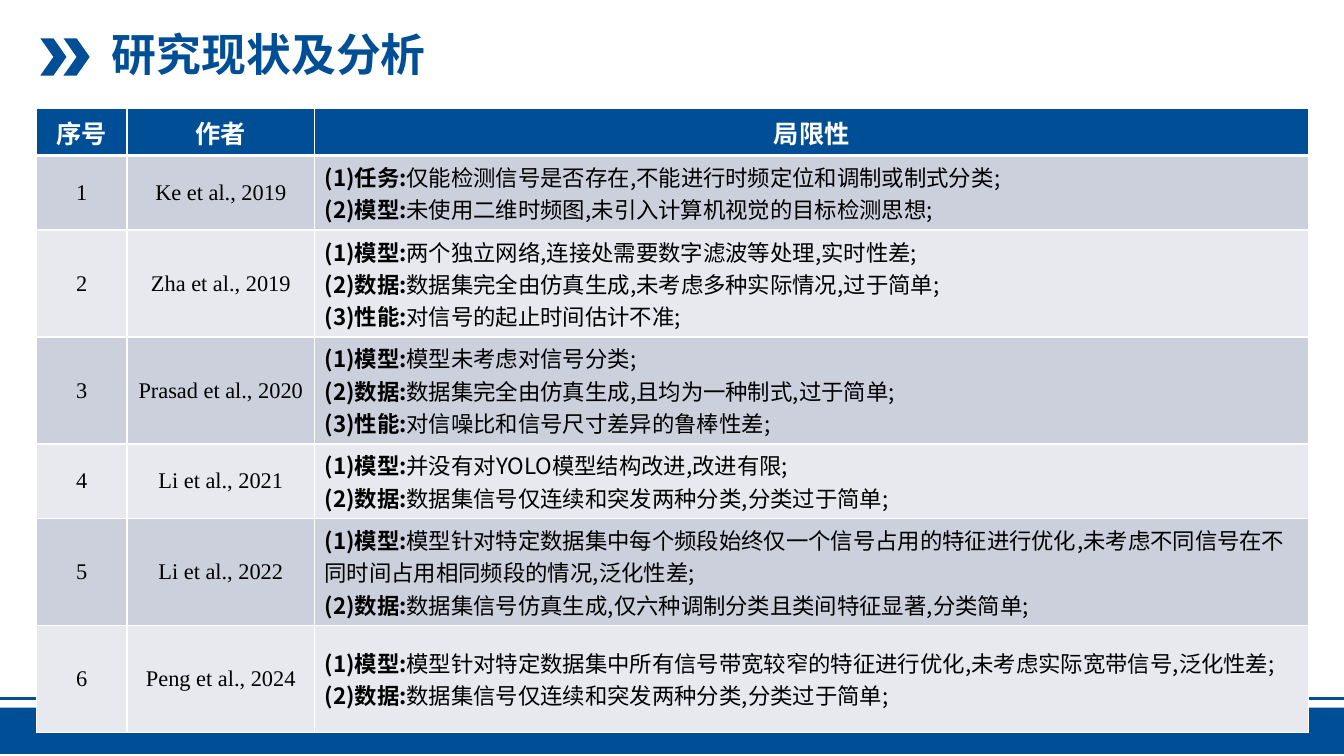
from dataclasses import dataclass

from lxml import etree
from pptx import Presentation
from pptx.dml.color import RGBColor
from pptx.enum.shapes import MSO_CONNECTOR, MSO_SHAPE
from pptx.enum.text import MSO_ANCHOR, PP_ALIGN
from pptx.oxml.ns import qn
from pptx.util import Inches, Pt


@dataclass(frozen=True)
class Theme:
    navy: str = "004E95"
    white: str = "FFFFFF"
    black: str = "000000"
    bands: tuple = ("CCD0DD", "E7E9EF")
    cjk: str = "Noto Sans CJK SC"
    latin: str = "Times New Roman"
    title: int = 32
    header: int = 18
    body: int = 16


THEME = Theme()
SLIDE_WIDTH, SLIDE_HEIGHT = 13.33, 7.5
HEADINGS = ("序号", "作者", "局限性")
COLUMN_WIDTHS = (0.9, 1.86, 9.86)
HEADER_HEIGHT = 0.46
LINE_HEIGHT, ROW_PADDING = 0.32, 0.1

# Author, lines of text in the row, limitations as (aspect, finding)
STUDIES = [
    ("Ke et al., 2019", 2, [
        ("任务", "仅能检测信号是否存在,不能进行时频定位和调制或制式分类;"),
        ("模型", "未使用二维时频图,未引入计算机视觉的目标检测思想;")]),
    ("Zha et al., 2019", 3, [
        ("模型", "两个独立网络,连接处需要数字滤波等处理,实时性差;"),
        ("数据", "数据集完全由仿真生成,未考虑多种实际情况,过于简单;"),
        ("性能", "对信号的起止时间估计不准;")]),
    ("Prasad et al., 2020", 3, [
        ("模型", "模型未考虑对信号分类;"),
        ("数据", "数据集完全由仿真生成,且均为一种制式,过于简单;"),
        ("性能", "对信噪比和信号尺寸差异的鲁棒性差;")]),
    ("Li et al., 2021", 2, [
        ("模型", "并没有对YOLO模型结构改进,改进有限;"),
        ("数据", "数据集信号仅连续和突发两种分类,分类过于简单;")]),
    ("Li et al., 2022", 3, [
        ("模型", "模型针对特定数据集中每个频段始终仅一个信号占用的特征进行优化,"
                 "未考虑不同信号在不同时间占用相同频段的情况,泛化性差;"),
        ("数据", "数据集信号仿真生成,仅六种调制分类且类间特征显著,分类简单;")]),
    ("Peng et al., 2024", 3, [
        ("模型", "模型针对特定数据集中所有信号带宽较窄的特征进行优化,"
                 "未考虑实际宽带信号,泛化性差;"),
        ("数据", "数据集信号仅连续和突发两种分类,分类过于简单;")]),
]


def rgb(value):
    return RGBColor.from_string(value)


def format_run(run, size, color, face, bold=False):
    font = run.font
    font.size, font.bold, font.name = Pt(size), bold, face
    font.color.rgb = rgb(color)
    etree.SubElement(font._element, qn("a:ea"), typeface=face)


def add_solid(slide, preset, left, top, width, height):
    solid = slide.shapes.add_shape(
        preset, Inches(left), Inches(top), Inches(width), Inches(height))
    solid.shadow.inherit = False
    solid.fill.solid()
    solid.fill.fore_color.rgb = rgb(THEME.navy)
    solid.line.fill.background()


def add_footer(slide, top):
    rule = slide.shapes.add_connector(
        MSO_CONNECTOR.STRAIGHT, 0, Inches(top), Inches(SLIDE_WIDTH), Inches(top))
    rule.line.color.rgb = rgb(THEME.navy)
    rule.line.width = Pt(2)
    etree.SubElement(rule._element.spPr, qn("a:effectLst"))
    add_solid(slide, MSO_SHAPE.RECTANGLE, 0, top + 0.09, SLIDE_WIDTH, 0.46)


def add_heading(slide, left, top, width, height):
    """Double chevron followed by the slide title."""
    for step in (0.23, 0):
        add_solid(slide, MSO_SHAPE.CHEVRON, left + step, top + 0.15, 0.26, 0.37)
    title = slide.shapes.title
    title.left, title.top = Inches(left + 0.61), Inches(top)
    title.width, title.height = Inches(width - 0.61), Inches(height)
    frame = title.text_frame
    frame.text = "研究现状及分析"
    frame.word_wrap = True
    frame.vertical_anchor = MSO_ANCHOR.MIDDLE
    paragraph = frame.paragraphs[0]
    paragraph.alignment = PP_ALIGN.LEFT
    paragraph.line_spacing = 0.9
    format_run(paragraph.runs[0], THEME.title, THEME.navy, THEME.cjk, True)


def style_cell(cell, fill, top=1, bottom=1):
    """Fill the cell and give it white borders of the given widths in points."""
    properties = cell._tc.get_or_add_tcPr()
    for side, points in (("L", 1), ("R", 1), ("T", top), ("B", bottom)):
        border = etree.SubElement(properties, qn(f"a:ln{side}"), w=str(Pt(points)))
        paint = etree.SubElement(border, qn("a:solidFill"))
        etree.SubElement(paint, qn("a:srgbClr"), val=THEME.white)
    cell.fill.solid()
    cell.fill.fore_color.rgb = rgb(fill)
    cell.vertical_anchor = MSO_ANCHOR.MIDDLE


def write_label(cell, label, size, color, face, bold=False):
    cell.text_frame.text = label
    paragraph = cell.text_frame.paragraphs[0]
    paragraph.alignment = PP_ALIGN.CENTER
    format_run(paragraph.runs[0], size, color, face, bold)


def write_limitations(cell, limitations):
    frame = cell.text_frame
    for number, (aspect, finding) in enumerate(limitations, 1):
        paragraph = frame.paragraphs[0] if number == 1 else frame.add_paragraph()
        for words, bold in ((f"({number}){aspect}:", True), (finding, False)):
            run = paragraph.add_run()
            run.text = words
            format_run(run, THEME.body, THEME.black, THEME.cjk, bold)


def add_study_table(slide, left, top):
    heights = [HEADER_HEIGHT] + [
        ROW_PADDING + LINE_HEIGHT * lines for _, lines, _ in STUDIES]
    table = slide.shapes.add_table(
        len(heights), len(HEADINGS), Inches(left), Inches(top),
        Inches(sum(COLUMN_WIDTHS)), Inches(sum(heights))).table
    table.horz_banding = False
    for column, width in zip(table.columns, COLUMN_WIDTHS):
        column.width = Inches(width)
    for row, height in zip(table.rows, heights):
        row.height = Inches(height)

    for cell, heading in zip(table.rows[0].cells, HEADINGS):
        style_cell(cell, THEME.navy, bottom=3)
        write_label(cell, heading, THEME.header, THEME.white, THEME.cjk, True)
    for number, (author, _, limitations) in enumerate(STUDIES, 1):
        cells = table.rows[number].cells
        for cell in cells:
            style_cell(cell, THEME.bands[(number - 1) % 2], top=3 if number == 1 else 1)
        for cell, label in zip(cells, (str(number), author)):
            write_label(cell, label, THEME.body, THEME.black, THEME.latin)
        write_limitations(cells[2], limitations)


def main():
    deck = Presentation()
    deck.slide_width, deck.slide_height = Inches(SLIDE_WIDTH), Inches(SLIDE_HEIGHT)
    slide = deck.slides.add_slide(deck.slide_layouts.get_by_name("Title Only"))
    add_footer(slide, 6.93)
    add_heading(slide, 0.4, 0.23, 9.19, 0.67)
    add_study_table(slide, 0.36, 1.08)
    deck.save("out.pptx")


if __name__ == "__main__":
    main()
